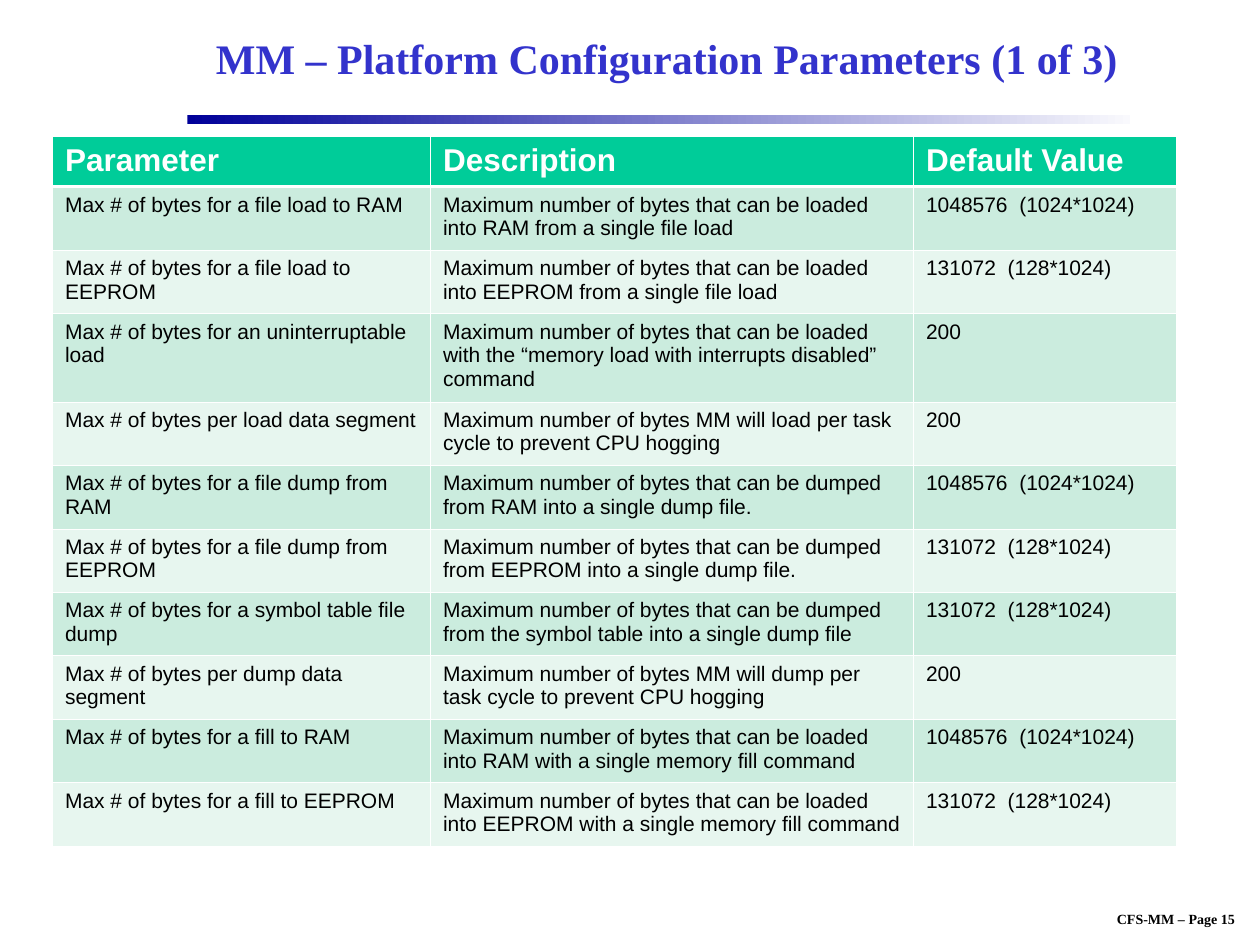
"""Build the slide listing the MM platform configuration parameters."""
from lxml import etree
from pptx import Presentation
from pptx.dml import color
from pptx.enum import shapes, text
from pptx.oxml import ns
from pptx.util import Pt

COLORS = {
    "title": "3333CC",
    "rule_start": "000099",
    "rule_end": "F9F9FD",
    "header": "00CC99",
    "odd_row": "CBECDE",
    "even_row": "E7F6EF",
    "white": "FFFFFF",
    "black": "000000",
}
SERIF, SANS = "Times New Roman", "Arial"
THIN, THICK = 0.45, 1.47
COLUMN_WIDTHS = (216, 276, 150)
HEADER_HEIGHT, LINE_HEIGHT, ROW_PADDING = 28.6, 14, 8.3
HEADERS = ("Parameter", "Description", "Default Value")
MEGABYTE, EEPROM_SIZE = "1048576  (1024*1024)", "131072  (128*1024)"
PARAMETERS = (
    ("Max # of bytes for a file load to RAM",
     "Maximum number of bytes that can be loaded into RAM from a single file load",
     MEGABYTE, 2),
    ("Max # of bytes for a file load to EEPROM",
     "Maximum number of bytes that can be loaded into EEPROM from a single file load",
     EEPROM_SIZE, 2),
    ("Max # of bytes for an uninterruptable load",
     "Maximum number of bytes that can be loaded with the “memory load with "
     "interrupts disabled” command",
     "200", 3),
    ("Max # of bytes per load data segment",
     "Maximum number of bytes MM will load per task cycle to prevent CPU hogging",
     "200", 2),
    ("Max # of bytes for a file dump from RAM",
     "Maximum number of bytes that can be dumped from RAM into a single dump file.",
     MEGABYTE, 2),
    ("Max # of bytes for a file dump from EEPROM",
     "Maximum number of bytes that can be dumped from EEPROM into a single dump file.",
     EEPROM_SIZE, 2),
    ("Max # of bytes for a symbol table file dump",
     "Maximum number of bytes that can be dumped from the symbol table into a "
     "single dump file",
     EEPROM_SIZE, 2),
    ("Max # of bytes per dump data segment",
     "Maximum number of bytes MM will dump per task cycle to prevent CPU hogging",
     "200", 2),
    ("Max # of bytes for a fill to RAM",
     "Maximum number of bytes that can be loaded into RAM with a single memory "
     "fill command",
     MEGABYTE, 2),
    ("Max # of bytes for a fill to EEPROM",
     "Maximum number of bytes that can be loaded into EEPROM with a single memory "
     "fill command",
     EEPROM_SIZE, 2),
)


def rgb(name):
    """Return the named colour."""
    return color.RGBColor.from_string(COLORS[name])


def set_text(frame, wording, font, size, ink, bold):
    """Write one paragraph and format its run."""
    frame.text = wording
    span = frame.paragraphs[0].runs[0]
    span.font.name = font
    span.font.size = Pt(size)
    span.font.bold = bold
    span.font.color.rgb = rgb(ink)


def add_label(slide, area, wording, size, ink, wrap):
    """Add a centred bold serif text box."""
    box = slide.shapes.add_textbox(*map(Pt, area))
    frame = box.text_frame
    frame.word_wrap = wrap
    frame.vertical_anchor = text.MSO_ANCHOR.MIDDLE
    set_text(frame, wording, SERIF, size, ink, True)
    frame.paragraphs[0].alignment = text.PP_ALIGN.CENTER


def add_gradient_rule(slide, area):
    """Add the bar that fades out to the right below the title."""
    bar = slide.shapes.add_shape(shapes.MSO_SHAPE.RECTANGLE, *map(Pt, area))
    bar.shadow.inherit = False
    bar.line.fill.background()
    bar.fill.gradient()
    bar.fill.gradient_angle = 0
    for stop, name in zip(bar.fill.gradient_stops, ("rule_start", "rule_end")):
        stop.color.rgb = rgb(name)


def set_borders(cell, top, bottom):
    """Draw white borders around a cell."""
    properties = cell._tc.get_or_add_tcPr()
    for side, width in (("L", THIN), ("R", THIN), ("T", top), ("B", bottom)):
        line = etree.SubElement(properties, ns.qn(f"a:ln{side}"), w=str(Pt(width)))
        fill = etree.SubElement(line, ns.qn("a:solidFill"))
        etree.SubElement(fill, ns.qn("a:srgbClr"), val=COLORS["white"])


def fill_row(row, wordings, height, fill, size, ink, bold, top=THIN, bottom=THIN):
    """Set the height, text, borders and fill of a table row."""
    row.height = Pt(height)
    for cell, wording in zip(row.cells, wordings):
        set_text(cell.text_frame, wording, SANS, size, ink, bold)
        set_borders(cell, top, bottom)
        cell.fill.solid()
        cell.fill.fore_color.rgb = rgb(fill)


def add_parameter_table(slide, left, top):
    """Add the banded table of parameters."""
    heights = [ROW_PADDING + LINE_HEIGHT * lines for *_, lines in PARAMETERS]
    frame = slide.shapes.add_table(
        len(PARAMETERS) + 1, len(HEADERS), Pt(left), Pt(top),
        Pt(sum(COLUMN_WIDTHS)), Pt(HEADER_HEIGHT + sum(heights)))
    table = frame.table
    for column, width in zip(table.columns, COLUMN_WIDTHS):
        column.width = Pt(width)
    fill_row(table.rows[0], HEADERS, HEADER_HEIGHT, "header", 18, "white", True,
             bottom=THICK)
    for index, (parameter, height) in enumerate(zip(PARAMETERS, heights), 1):
        fill_row(table.rows[index], parameter[:3], height,
                 "odd_row" if index % 2 else "even_row", 12, "black", False,
                 top=THICK if index == 1 else THIN)


def main():
    """Create the deck and save it."""
    deck = Presentation()
    deck.slide_width, deck.slide_height = Pt(720), Pt(540)
    slide = deck.slides.add_slide(deck.slide_layouts[6])
    add_label(slide, (617, 517, 110, 16.6), "CFS-MM – Page 15", 8, "black", False)
    add_gradient_rule(slide, (107, 66, 539, 5))
    add_label(slide, (108, 6, 546, 54),
              "MM – Platform Configuration Parameters (1 of 3)", 24, "title", True)
    add_parameter_table(slide, 30, 77.8)
    deck.save("out.pptx")


if __name__ == "__main__":
    main()
